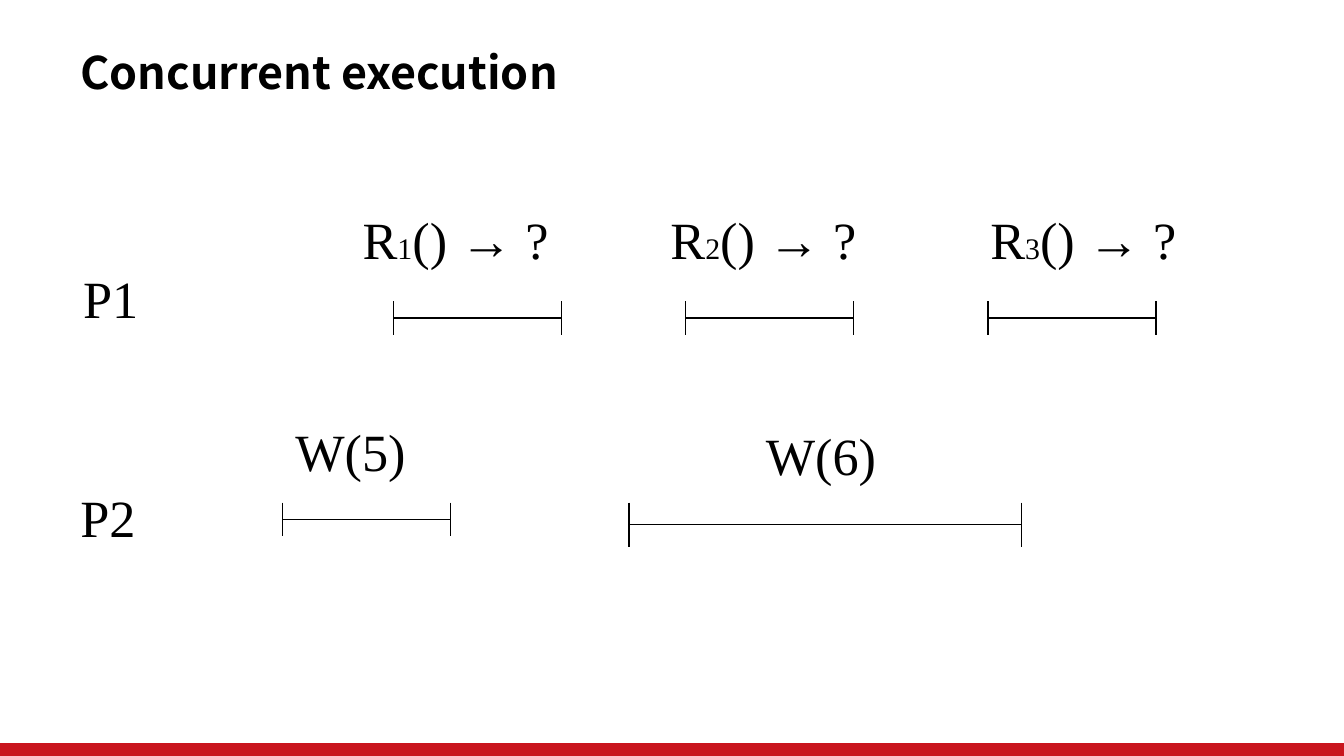
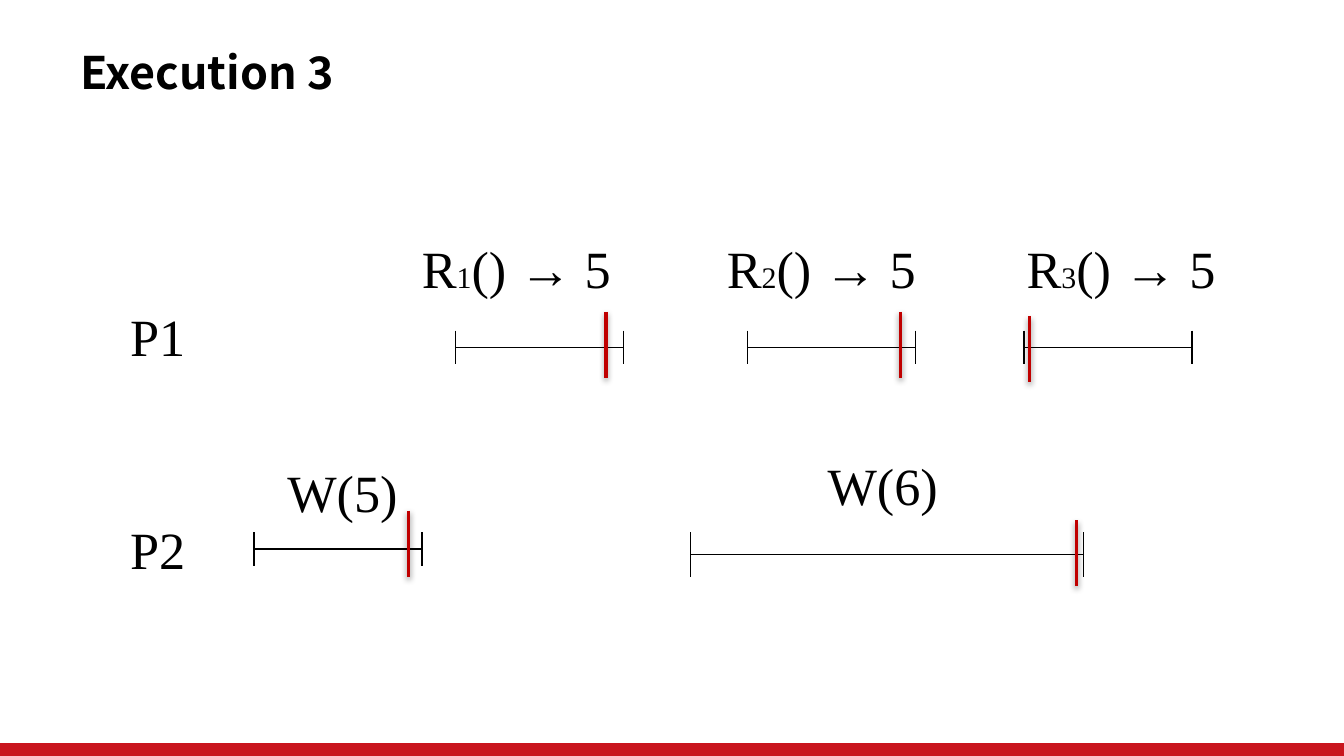
from lxml import etree
from pptx import Presentation
from pptx.dml.color import RGBColor
from pptx.enum.shapes import MSO_CONNECTOR, MSO_SHAPE
from pptx.enum.text import MSO_ANCHOR
from pptx.oxml import parse_xml
from pptx.oxml.ns import nsdecls, qn
from pptx.util import Pt

PX = 9144
STRAIGHT = MSO_CONNECTOR.STRAIGHT
RECTANGLE = MSO_SHAPE.RECTANGLE
MIDDLE = MSO_ANCHOR.MIDDLE
BLACK, RED, BAND = "000000", "C00000", "C9151E"
TITLE_FONT, BODY_FONT = "Noto Sans CJK SC", "Times New Roman"
SLIDE_WIDTH = 1000
TEXT_HEIGHT = 57
PROCESS_WIDTH, WRITE_WIDTH, READ_WIDTH = 61, 102, 161
SHORT_TICK, LONG_TICK = 25, 33
MARK_HEIGHT = 49
SHADOW = (
    f'<a:effectLst {nsdecls("a")}>'
    '<a:outerShdw blurRad="40000" dist="20000" dir="5400000" rotWithShape="0">'
    '<a:srgbClr val="000000"><a:alpha val="38000"/></a:srgbClr>'
    '</a:outerShdw></a:effectLst>'
)


def add_text(slide, left, top, width, height, parts, font=BODY_FONT, title=False):
    shape = slide.shapes.add_textbox(left * PX, top * PX, width * PX, height * PX)
    text_frame = shape.text_frame
    text_frame.word_wrap = title
    text_frame.vertical_anchor = MIDDLE
    paragraph = text_frame.paragraphs[0]
    for text, size in parts:
        run = paragraph.add_run()
        run.text = text
        run.font.name = font
        run.font.size = Pt(size)
        run.font.bold = title
        run.font.color.rgb = RGBColor.from_string(BLACK)


def add_line(slide, points, color=BLACK, weight=0.75, shadow=False):
    ends = [round(value * PX) for value in points]
    line = slide.shapes.add_connector(STRAIGHT, *ends)
    line.line.color.rgb = RGBColor.from_string(color)
    line.line.width = Pt(weight)
    properties = line._element.spPr
    if shadow:
        properties.append(parse_xml(SHADOW))
    else:
        etree.SubElement(properties, qn("a:effectLst"))


executions = [
    {
        "title": "Concurrent execution",
        "processes": [("P1", 52, 193), ("P2", 50, 356)],
        "result": "?",
        "read_top": 149,
        "read_lefts": [260, 489, 727],
        "writes": [("W(5)", 210, 307), ("W(6)", 560, 310)],
        "intervals": [
            (293, 418, 224, SHORT_TICK),
            (510, 635, 224, SHORT_TICK),
            (735, 860, 224, SHORT_TICK),
            (210, 335, 374, SHORT_TICK),
            (468, 760, 374, LONG_TICK),
        ],
        "marks": [],
    },
    {
        "title": "Execution 3",
        "processes": [("P1", 87, 221), ("P2", 87, 380)],
        "result": "5",
        "read_top": 171,
        "read_lefts": [304, 531, 754],
        "writes": [("W(5)", 204, 337), ("W(6)", 606, 332)],
        "intervals": [
            (339, 464, 246, SHORT_TICK),
            (556, 681, 246, SHORT_TICK),
            (762, 887, 246, SHORT_TICK),
            (189, 314, 396, SHORT_TICK),
            (514, 806, 396, LONG_TICK),
        ],
        "marks": [(304, 380), (451, 232), (670, 232), (766, 235), (801, 387)],
    },
]

presentation = Presentation()
presentation.slide_width = SLIDE_WIDTH * PX
presentation.slide_height = SLIDE_WIDTH * PX * 9 // 16

for execution in executions:
    slide = presentation.slides.add_slide(presentation.slide_layouts[6])
    band = slide.shapes.add_shape(RECTANGLE, 0, 553 * PX, SLIDE_WIDTH * PX, 10 * PX)
    band.shadow.inherit = False
    band.fill.solid()
    band.fill.fore_color.rgb = RGBColor.from_string(BAND)
    band.line.fill.background()

    add_text(slide, 50, 29, 696, 49, [(execution["title"], 24)], TITLE_FONT, True)

    for left, right, top, tick in execution["intervals"]:
        middle = top + tick / 2
        add_line(slide, (left, middle, right, middle))
        for end in (left, right):
            add_line(slide, (end, top, end, top + tick))

    for name, left, top in execution["processes"]:
        add_text(slide, left, top, PROCESS_WIDTH, TEXT_HEIGHT, [(name, 28)])
    for name, left, top in execution["writes"]:
        add_text(slide, left, top, WRITE_WIDTH, TEXT_HEIGHT, [(name, 28)])
    for number, left in enumerate(execution["read_lefts"], start=1):
        parts = [("R", 28), (str(number), 16), (f"() → {execution['result']}", 28)]
        add_text(slide, left, execution["read_top"], READ_WIDTH, TEXT_HEIGHT, parts)

    for x, top in execution["marks"]:
        add_line(slide, (x, top, x, top + MARK_HEIGHT), RED, 2, True)

presentation.save("out.pptx")
